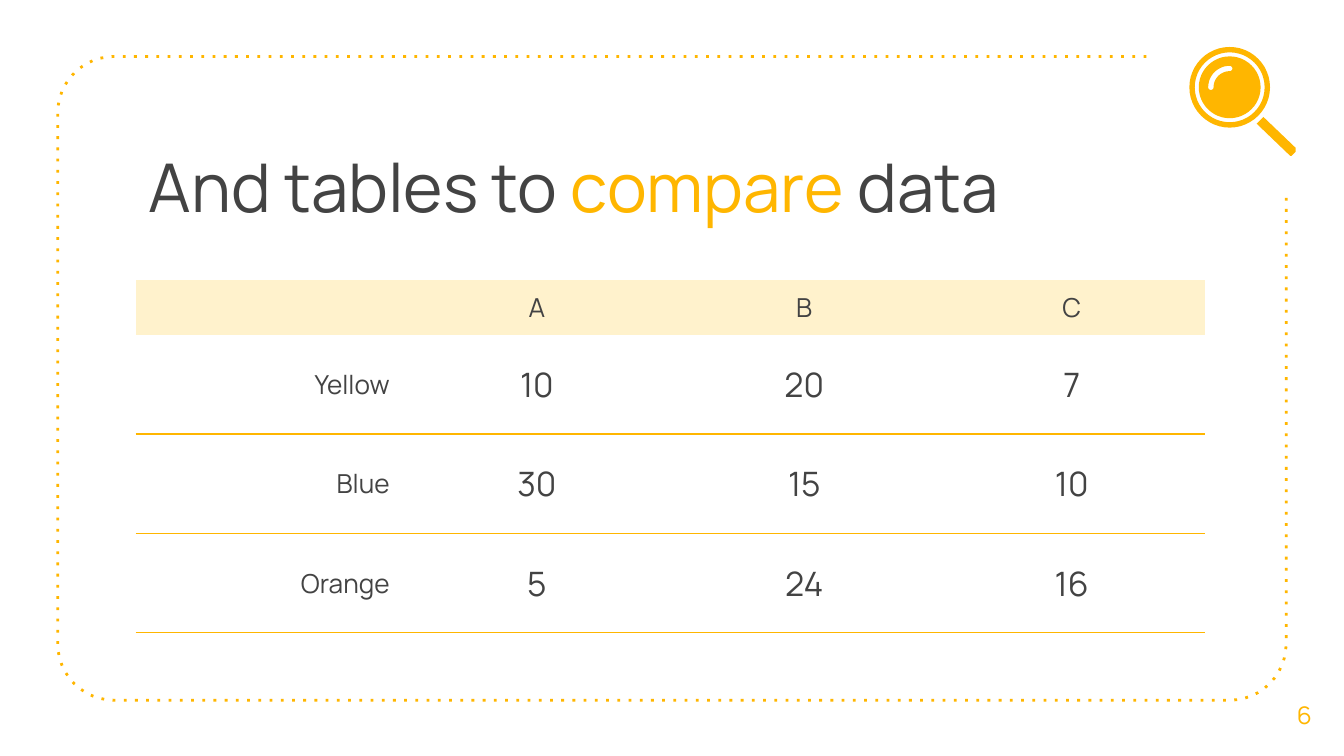
from dataclasses import dataclass
from math import cos, radians, sin

from lxml import etree
from pptx import Presentation
from pptx.dml.color import RGBColor
from pptx.enum.text import MSO_ANCHOR, PP_ALIGN
from pptx.oxml.ns import qn
from pptx.util import Inches, Pt

CENTER, RIGHT, LEFT = PP_ALIGN.CENTER, PP_ALIGN.RIGHT, PP_ALIGN.LEFT
TOP, MIDDLE = MSO_ANCHOR.TOP, MSO_ANCHOR.MIDDLE
Point = tuple[float, float]


@dataclass(frozen=True)
class Theme:
    font: str = "Manrope"
    ink: str = "434343"
    accent: str = "FFB600"
    header: str = "FFF2CC"
    title_size: float = 36
    label_size: float = 14
    value_size: float = 18
    number_size: float = 13
    dot_width: float = 1.5
    rule_width: float = 0.75


@dataclass(frozen=True)
class Span:
    text: str
    color: str


@dataclass(frozen=True)
class TextBlock:
    left: float
    top: float
    width: float
    height: float
    spans: tuple[Span, ...]
    size: float
    align: PP_ALIGN
    anchor: MSO_ANCHOR


@dataclass(frozen=True)
class DataRow:
    label: str
    values: tuple[str, ...]


THEME = Theme()
DATA_ROWS = (
    DataRow("Yellow", ("10", "20", "7")),
    DataRow("Blue", ("30", "15", "10")),
    DataRow("Orange", ("5", "24", "16")),
)
COLUMN_HEADS = ("", "A", "B", "C")
TEXT_BLOCKS = (
    TextBlock(1.01, 0.98, 7.51, 0.94,
              (Span("And tables to ", THEME.ink), Span("compare", THEME.accent), Span(" data", THEME.ink)),
              THEME.title_size, LEFT, TOP),
    TextBlock(9.41, 5.02, 0.59, 0.6, (Span("6", THEME.accent),), THEME.number_size, CENTER, MIDDLE),
)


def arc(center: Point, radius: float, start: int, end: int, steps: int = 12) -> list[Point]:
    angles = (radians(start + (end - start) * i / steps) for i in range(steps + 1))
    return [(center[0] + radius * cos(a), center[1] + radius * sin(a)) for a in angles]


def circle(center: Point, radius: float) -> list[Point]:
    return arc(center, radius, 0, 360, 48)


def draw_outline(slide, contours: list[list[Point]], close: bool = True):
    paths = [[(Inches(x), Inches(y)) for x, y in contour] for contour in contours]
    builder = slide.shapes.build_freeform(*paths[0][0], scale=1.0)
    builder.add_line_segments(paths[0][1:], close=close)
    for path in paths[1:]:
        builder.move_to(*path[0])
        builder.add_line_segments(path[1:], close=close)
    outline = builder.convert_to_shape()
    outline.shadow.inherit = False
    return outline


def draw_frame(slide) -> None:
    left, right, top, bottom, radius = 0.43, 9.57, 0.42, 5.21, 0.42
    contour = [(8.53, top)]
    contour += arc((left + radius, top + radius), radius, 270, 180)
    contour += arc((left + radius, bottom - radius), radius, 180, 90)
    contour += arc((right - radius, bottom - radius), radius, 90, 0)
    contour.append((right, 1.46))
    frame = draw_outline(slide, [contour], close=False)
    frame.fill.background()
    frame.line.color.rgb = RGBColor.from_string(THEME.accent)
    frame.line.width = Pt(THEME.dot_width)
    etree.SubElement(frame.line._ln, qn("a:prstDash"), val="dot")


def draw_magnifier(slide) -> None:
    center = (9.15, 0.65)
    middle, half = 0.14, 0.02
    gleam = arc(center, middle + half, 180, 270)
    gleam += arc((center[0], center[1] - middle), half, 270, 450)
    gleam += arc(center, middle - half, 270, 180)
    gleam += arc((center[0] - middle, center[1]), half, 0, 180)
    handle = [(9.4, 0.87), (9.35, 0.92), (9.59, 1.15), (9.6, 1.16), (9.61, 1.16),
              (9.64, 1.13), (9.64, 1.12), (9.64, 1.1)]
    for contours in ([circle(center, 0.3), circle(center, 0.26)], [circle(center, 0.23), gleam], [handle]):
        part = draw_outline(slide, contours)
        part.fill.solid()
        part.fill.fore_color.rgb = RGBColor.from_string(THEME.accent)
        part.line.fill.background()


def style_run(run, size: float, color: str) -> None:
    run.font.name = THEME.font
    run.font.size = Pt(size)
    run.font.color.rgb = RGBColor.from_string(color)


def draw_text(slide, block: TextBlock) -> None:
    box = slide.shapes.add_textbox(*map(Inches, (block.left, block.top, block.width, block.height)))
    frame = box.text_frame
    frame.word_wrap = True
    frame.vertical_anchor = block.anchor
    frame.margin_left = frame.margin_right = frame.margin_top = frame.margin_bottom = Inches(0.1)
    paragraph = frame.paragraphs[0]
    paragraph.alignment = block.align
    for span in block.spans:
        run = paragraph.add_run()
        run.text = span.text
        style_run(run, block.size, span.color)


def set_borders(cell, top: str | None, bottom: str | None) -> None:
    properties = cell._tc.get_or_add_tcPr()
    sides = (("a:lnL", None), ("a:lnR", None), ("a:lnT", top), ("a:lnB", bottom))
    for position, (tag, color) in enumerate(sides):
        border = etree.Element(qn(tag), w=str(Pt(THEME.rule_width)))
        if color:
            fill = etree.SubElement(border, qn("a:solidFill"))
            etree.SubElement(fill, qn("a:srgbClr"), val=color)
        else:
            etree.SubElement(border, qn("a:noFill"))
        properties.insert(position, border)


def fill_cell(cell, text: str, size: float, align: PP_ALIGN) -> None:
    cell.vertical_anchor = MIDDLE
    cell.margin_left = cell.margin_right = Inches(0.1)
    cell.margin_top = cell.margin_bottom = Inches(0.07)
    paragraph = cell.text_frame.paragraphs[0]
    paragraph.text = text
    paragraph.alignment = align
    for run in paragraph.runs:
        style_run(run, size, THEME.ink)
    if not text:
        etree.SubElement(paragraph._p, qn("a:endParaRPr"), sz=str(int(size * 100)))


def draw_table(slide) -> None:
    header_height, row_height, width = 0.41, 0.74, 7.96
    height = header_height + row_height * len(DATA_ROWS)
    table = slide.shapes.add_table(len(DATA_ROWS) + 1, len(COLUMN_HEADS), Inches(1.01), Inches(2.08),
                                   Inches(width), Inches(height)).table
    table.first_row = table.horz_banding = False
    for column in table.columns:
        column.width = Inches(width / len(COLUMN_HEADS))
    table.rows[0].height = Inches(header_height)
    for index, head in enumerate(COLUMN_HEADS):
        cell = table.cell(0, index)
        fill_cell(cell, head, THEME.label_size, CENTER)
        cell.fill.solid()
        cell.fill.fore_color.rgb = RGBColor.from_string(THEME.header)
        set_borders(cell, None, None)
    rule_above = None
    for row_index, row in enumerate(DATA_ROWS, start=1):
        table.rows[row_index].height = Inches(row_height)
        for index, text in enumerate((row.label, *row.values)):
            cell = table.cell(row_index, index)
            size, align = (THEME.value_size, CENTER) if index else (THEME.label_size, RIGHT)
            fill_cell(cell, text, size, align)
            cell.fill.background()
            set_borders(cell, rule_above, THEME.accent)
        rule_above = THEME.accent


presentation = Presentation()
presentation.slide_width = Inches(10)
presentation.slide_height = presentation.slide_width * 9 // 16
slide = presentation.slides.add_slide(presentation.slide_layouts[6])
draw_frame(slide)
draw_table(slide)
for text_block in TEXT_BLOCKS:
    draw_text(slide, text_block)
draw_magnifier(slide)
presentation.save("out.pptx")
